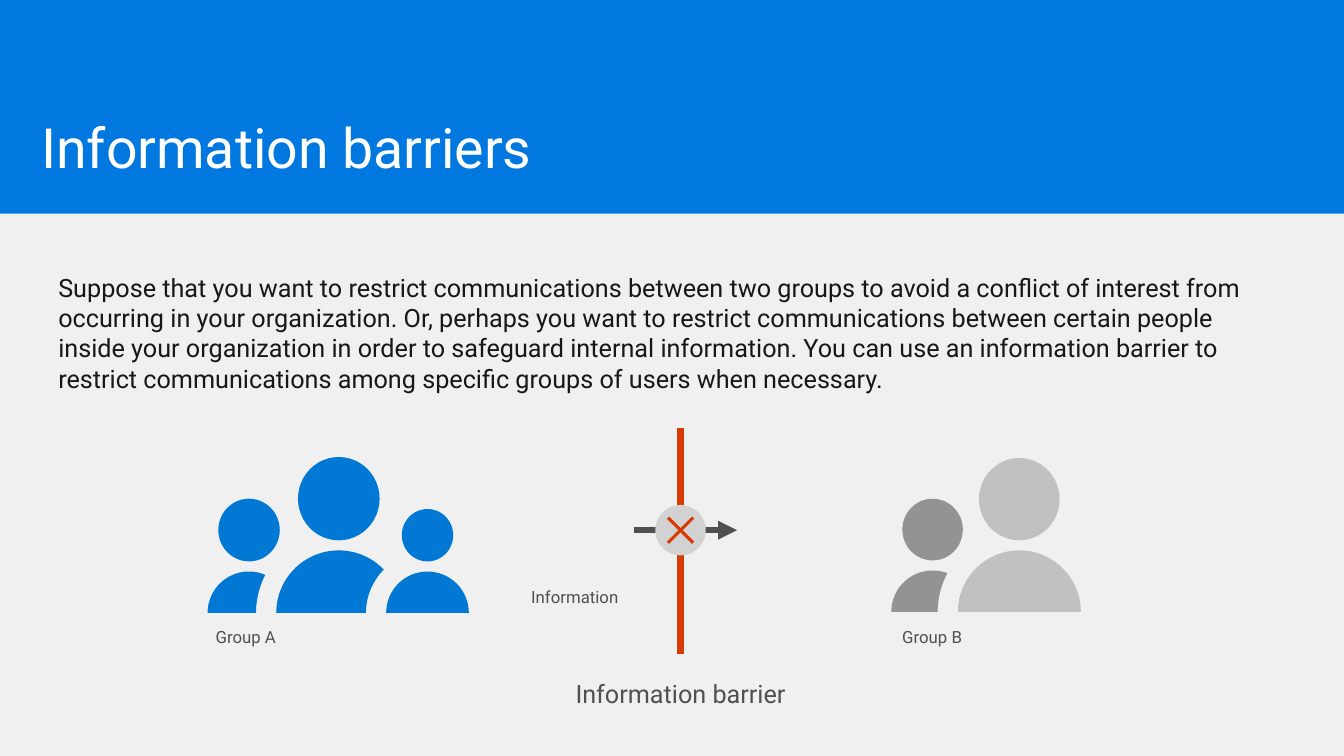
"""Build the slide on information barriers between two groups of people."""
from dataclasses import dataclass
from math import acos, atan2, cos, pi, sin
from typing import Optional

import pptx
import pptx.dml.color
import pptx.enum.shapes
import pptx.enum.text
import pptx.oxml
import pptx.oxml.ns
import pptx.util

Inches = pptx.util.Inches
RGBColor = pptx.dml.color.RGBColor
MSO_SHAPE = pptx.enum.shapes.MSO_SHAPE
MSO_ANCHOR = pptx.enum.text.MSO_ANCHOR
MSO_AUTO_SIZE = pptx.enum.text.MSO_AUTO_SIZE

WHITE = RGBColor(0xFF, 0xFF, 0xFF)
PALE_GREY = RGBColor(0xF0, 0xF0, 0xF0)
BANNER_BLUE = RGBColor(0x00, 0x78, 0xDF)
GROUP_BLUE = RGBColor(0x00, 0x78, 0xD4)
LIGHT_GREY = RGBColor(0xC1, 0xC1, 0xC1)
MID_GREY = RGBColor(0x93, 0x93, 0x93)
BADGE_GREY = RGBColor(0xD2, 0xD2, 0xD2)
DARK_GREY = RGBColor(0x50, 0x50, 0x50)
NEAR_BLACK = RGBColor(0x17, 0x17, 0x17)
BARRIER_RED = RGBColor(0xD8, 0x3B, 0x01)

FONT = "Roboto"
SLIDE_WIDTH, SLIDE_HEIGHT, BANNER_HEIGHT = 13.33, 7.5, 2.12
NECK_GAP = 0.1
OVERLAP_GAP = 0.2
HEAD_STRETCH = 1.02
ARC_STEPS = 32


@dataclass(frozen=True)
class Person:
    center: float
    base: float
    radius: float
    head_width: float
    fill: RGBColor
    in_front: Optional["Person"] = None


@dataclass(frozen=True)
class Caption:
    text: str
    left: float
    top: float
    width: float
    height: float
    size: float
    color: RGBColor
    wrap: bool = False
    grow: bool = True
    line_spacing: Optional[float] = None


@dataclass(frozen=True)
class Stroke:
    start: tuple[float, float]
    end: tuple[float, float]
    color: RGBColor
    weight: float
    arrow: bool = False


A_RIGHT = Person(4.24, 6.08, 0.41, 0.51, GROUP_BLUE)
A_MIDDLE = Person(3.36, 6.08, 0.62, 0.81, GROUP_BLUE, A_RIGHT)
A_LEFT = Person(2.47, 6.08, 0.41, 0.61, GROUP_BLUE, A_MIDDLE)
B_RIGHT = Person(10.11, 6.07, 0.61, 0.8, LIGHT_GREY)
B_LEFT = Person(9.25, 6.07, 0.41, 0.6, MID_GREY, B_RIGHT)
PEOPLE = [A_LEFT, A_MIDDLE, A_RIGHT, B_LEFT, B_RIGHT]

CAPTIONS = [
    Caption("Information barriers", 0.31, 1.13, 12.74, 0.72, 39.6, WHITE,
            wrap=True, grow=False, line_spacing=0.9),
    Caption("Suppose that you want to restrict communications between two groups to "
            "avoid a conflict of interest from occurring in your organization. Or, "
            "perhaps you want to restrict communications between certain people inside "
            "your organization in order to safeguard internal information. You can use "
            "an information barrier to restrict communications among specific groups of "
            "users when necessary.",
            0.48, 2.65, 12.2, 1.31, 18, NEAR_BLACK, wrap=True),
    Caption("Group A", 2.04, 6.17, 0.82, 0.3, 12, DARK_GREY),
    Caption("Group B", 8.85, 6.17, 0.81, 0.3, 12, DARK_GREY),
    Caption("Information", 5.17, 5.77, 1.07, 0.3, 12, DARK_GREY),
    Caption("Information barrier", 5.61, 6.68, 2.3, 0.4, 18, DARK_GREY),
]

BARRIER_X, FLOW_Y = 6.75, 5.26
BADGE_SIZE = 0.5
CROSS_REACH = BADGE_SIZE / 4
BARRIER = Stroke((BARRIER_X, 4.25), (BARRIER_X, 6.49), BARRIER_RED, 4.5)
FLOW = Stroke((6.29, FLOW_Y), (7.31, FLOW_Y), DARK_GREY, 4.5, arrow=True)
CROSS = [
    Stroke((BARRIER_X - CROSS_REACH, FLOW_Y - rise),
           (BARRIER_X + CROSS_REACH, FLOW_Y + rise), BARRIER_RED, 2.25)
    for rise in (CROSS_REACH, -CROSS_REACH)
]


def paint(shape, fill: RGBColor) -> None:
    shape.shadow.inherit = False
    shape.fill.solid()
    shape.fill.fore_color.rgb = fill
    shape.line.fill.background()


def draw_preset(slide, kind, left: float, top: float, width: float, height: float,
                fill: RGBColor) -> None:
    paint(slide.shapes.add_shape(kind, Inches(left), Inches(top),
                                 Inches(width), Inches(height)), fill)


def arc(center: float, base: float, radius: float, start: float,
        end: float) -> list[tuple[int, int]]:
    angles = [start + (end - start) * step / ARC_STEPS for step in range(ARC_STEPS + 1)]
    return [(Inches(center + radius * cos(angle)), Inches(base - radius * sin(angle)))
            for angle in angles]


def body_outline(person: Person) -> list[tuple[int, int]]:
    if person.in_front is None:
        return arc(person.center, person.base, person.radius, pi, 0)
    front = person.in_front
    distance = front.center - person.center
    cut = front.radius + OVERLAP_GAP
    meet_x = (distance ** 2 + person.radius ** 2 - cut ** 2) / (2 * distance)
    meet = acos(meet_x / person.radius)
    cut_angle = atan2(person.radius * sin(meet), meet_x - distance)
    return (arc(person.center, person.base, person.radius, pi, meet)
            + arc(front.center, person.base, cut, cut_angle, pi))


def draw_person(slide, person: Person) -> None:
    outline = body_outline(person)
    builder = slide.shapes.build_freeform(*outline[0])
    builder.add_line_segments(outline[1:], close=True)
    paint(builder.convert_to_shape(), person.fill)
    head_height = person.head_width * HEAD_STRETCH
    draw_preset(slide, MSO_SHAPE.OVAL, person.center - person.head_width / 2,
                person.base - person.radius - NECK_GAP - head_height,
                person.head_width, head_height, person.fill)


def draw_stroke(slide, stroke: Stroke) -> None:
    connector = slide.shapes.add_connector(
        pptx.enum.shapes.MSO_CONNECTOR.STRAIGHT,
        *(Inches(value) for value in stroke.start + stroke.end))
    connector.line.color.rgb = stroke.color
    connector.line.width = pptx.util.Pt(stroke.weight)
    if stroke.arrow:
        arrowhead = pptx.oxml.parse_xml(
            f'<a:tailEnd {pptx.oxml.ns.nsdecls("a")} type="triangle"/>')
        connector.line._get_or_add_ln().append(arrowhead)
    connector._element.spPr.append(
        pptx.oxml.parse_xml(f'<a:effectLst {pptx.oxml.ns.nsdecls("a")}/>'))


def draw_caption(slide, caption: Caption) -> None:
    frame = slide.shapes.add_textbox(
        Inches(caption.left), Inches(caption.top),
        Inches(caption.width), Inches(caption.height)).text_frame
    frame.word_wrap = caption.wrap
    if caption.grow:
        frame.auto_size = MSO_AUTO_SIZE.SHAPE_TO_FIT_TEXT
    else:
        frame.vertical_anchor = MSO_ANCHOR.MIDDLE
    paragraph = frame.paragraphs[0]
    paragraph.text = caption.text
    paragraph.line_spacing = caption.line_spacing
    paragraph.font.name = FONT
    paragraph.font.size = pptx.util.Pt(caption.size)
    paragraph.font.color.rgb = caption.color


def main() -> None:
    presentation = pptx.Presentation()
    presentation.slide_width = Inches(SLIDE_WIDTH)
    presentation.slide_height = Inches(SLIDE_HEIGHT)
    slide = presentation.slides.add_slide(presentation.slide_layouts[6])
    draw_preset(slide, MSO_SHAPE.RECTANGLE, 0, BANNER_HEIGHT, SLIDE_WIDTH,
                SLIDE_HEIGHT - BANNER_HEIGHT, PALE_GREY)
    draw_preset(slide, MSO_SHAPE.RECTANGLE, 0, 0, SLIDE_WIDTH, BANNER_HEIGHT, BANNER_BLUE)
    for person in PEOPLE:
        draw_person(slide, person)
    for stroke in (BARRIER, FLOW):
        draw_stroke(slide, stroke)
    draw_preset(slide, MSO_SHAPE.OVAL, BARRIER_X - BADGE_SIZE / 2, FLOW_Y - BADGE_SIZE / 2,
                BADGE_SIZE, BADGE_SIZE, BADGE_GREY)
    for stroke in CROSS:
        draw_stroke(slide, stroke)
    for caption in CAPTIONS:
        draw_caption(slide, caption)
    presentation.save("out.pptx")


if __name__ == "__main__":
    main()
